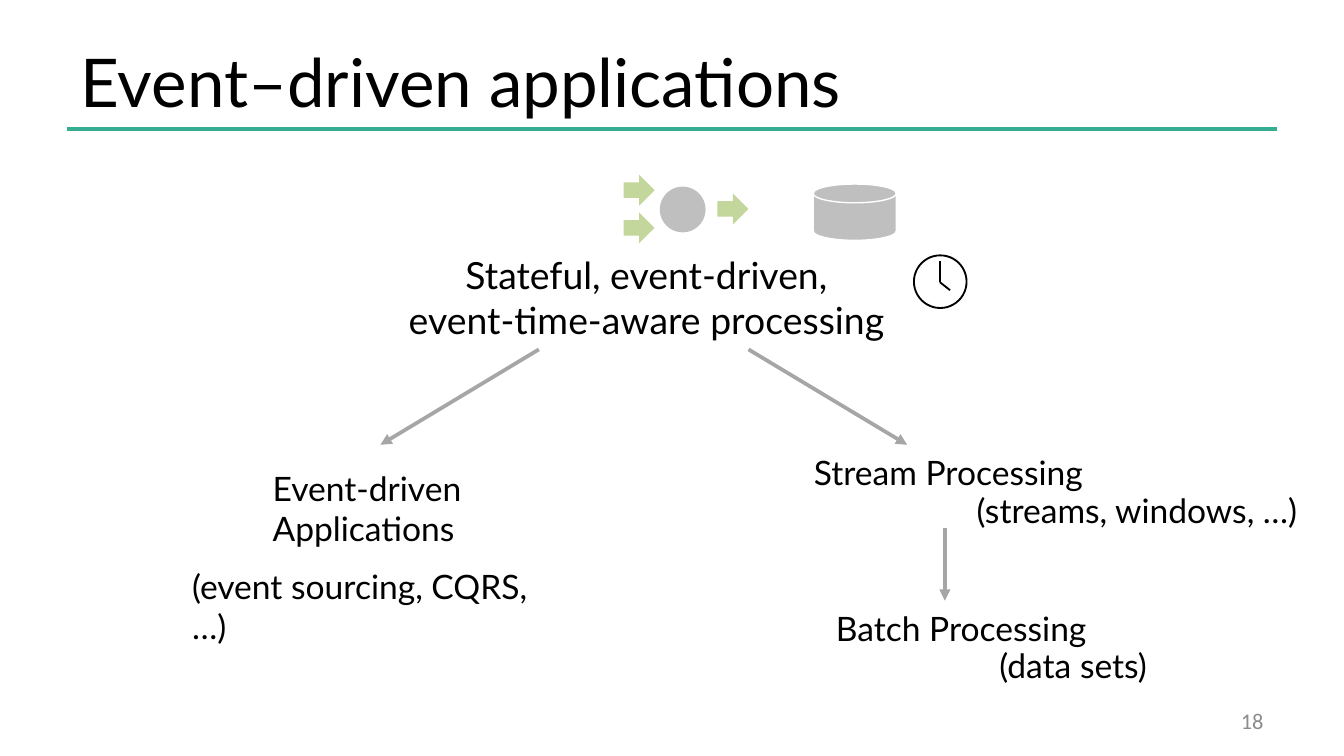
from dataclasses import dataclass

from lxml.etree import SubElement
from pptx import Presentation
from pptx.dml.color import RGBColor
from pptx.enum.shapes import MSO_CONNECTOR, MSO_SHAPE
from pptx.enum.text import MSO_ANCHOR, PP_ALIGN
from pptx.oxml.ns import qn
from pptx.util import Pt

BLACK, GRAY, ARROW_GRAY = "000000", "BFBFBF", "A6A6A6"
GREEN, TEAL, NUMBER_GRAY = "C3D69B", "34AD91", "8C8C8C"


@dataclass
class Label:
    lines: tuple[str, ...]
    x: float
    y: float
    w: float
    h: float = 28.8
    size: float = 18
    align: PP_ALIGN = PP_ALIGN.LEFT
    wrap: bool = False
    font: str = "Lato"
    color: str = BLACK
    anchor: MSO_ANCHOR = MSO_ANCHOR.TOP


@dataclass
class Line:
    x1: float
    y1: float
    x2: float
    y2: float
    color: str = ARROW_GRAY
    width: float = 2
    head: bool = True


def rgb(color: str) -> RGBColor:
    return RGBColor.from_string(color)


def write_text(sp, label: Label) -> None:
    sp.left, sp.top = Pt(label.x), Pt(label.y)
    sp.width, sp.height = Pt(label.w), Pt(label.h)
    tf = sp.text_frame
    tf.word_wrap = label.wrap
    tf.vertical_anchor = label.anchor
    p = tf.paragraphs[0]
    p.alignment = label.align
    for i, line in enumerate(label.lines):
        if i:
            p.add_line_break()
        r = p.add_run()
        r.text = line
        r.font.name, r.font.size = label.font, Pt(label.size)
        r.font.color.rgb = rgb(label.color)


def draw_label(shapes, label: Label) -> None:
    sp = shapes.add_textbox(Pt(label.x), Pt(label.y), Pt(label.w), Pt(label.h))
    write_text(sp, label)


def draw_line(shapes, line: Line) -> None:
    sp = shapes.add_connector(MSO_CONNECTOR.STRAIGHT, Pt(line.x1), Pt(line.y1),
                              Pt(line.x2), Pt(line.y2))
    sp.line.color.rgb = rgb(line.color)
    sp.line.width = Pt(line.width)
    if line.head:
        SubElement(sp.line._get_or_add_ln(), qn("a:tailEnd"), type="triangle")
    SubElement(sp._element.spPr, qn("a:effectLst"))


def draw_shape(shapes, kind: MSO_SHAPE, x: float, y: float, w: float, h: float,
               fill: str | None = None, line: str | None = None,
               width: float = 1) -> None:
    sp = shapes.add_shape(kind, Pt(x), Pt(y), Pt(w), Pt(h))
    sp.shadow.inherit = False
    if fill:
        sp.fill.solid()
        sp.fill.fore_color.rgb = rgb(fill)
    else:
        sp.fill.background()
    if line:
        sp.line.color.rgb = rgb(line)
        sp.line.width = Pt(width)
    else:
        sp.line.fill.background()


LABELS = [
    Label(("Stateful, event-driven,", "event-time-aware processing"),
          211, 131.8, 270.7, 55.4, size=20, align=PP_ALIGN.CENTER),
    Label(("Event-driven", "Applications"), 139, 247, 122, 51, wrap=True),
    Label(("(event sourcing, CQRS, …)",), 95.8, 299.5, 209.5, wrap=True),
    Label(("Stream Processing",), 429, 238.5, 160.6),
    Label(("(streams, windows, …)",), 512.6, 259.2, 193,
          align=PP_ALIGN.CENTER, wrap=True),
    Label(("Batch Processing",), 440.8, 322, 149),
    Label(("(data sets)",), 506.2, 342, 137.5, align=PP_ALIGN.CENTER, wrap=True),
    Label(("18",), 516.2, 375.1, 167.8, 21.6, size=12, align=PP_ALIGN.RIGHT,
          wrap=True, font="Calibri", color=NUMBER_GRAY, anchor=MSO_ANCHOR.MIDDLE),
]
ARROWS = [
    Line(288.7, 187.2, 203.8, 238.3),
    Line(401, 187.2, 486, 238.3),
    Line(506.2, 283, 506.2, 321.8),
]


def main() -> None:
    prs = Presentation()
    prs.slide_width, prs.slide_height = Pt(720), Pt(405)
    s = prs.slides.add_slide(prs.slide_layouts[5])

    # Title and rule
    draw_line(s.shapes, Line(36, 69, 684, 69, TEAL, head=False))
    write_text(s.shapes.title, Label(
        ("Event–driven applications",), 36, 16.6, 589, 53.3, size=36,
        wrap=True, anchor=MSO_ANCHOR.MIDDLE))

    # Texts and the arrows between them
    for label in LABELS:
        draw_label(s.shapes, label)
    for arrow in ARROWS:
        draw_line(s.shapes, arrow)

    # State store
    draw_shape(s.shapes, MSO_SHAPE.FLOWCHART_MAGNETIC_DISK, 435.6, 98.6, 44.6, 30.2,
               GRAY, "FFFFFF", 0.75)

    # Clock
    clock = s.shapes.add_group_shape().shapes
    draw_shape(clock, MSO_SHAPE.OVAL, 489.6, 136.8, 28.2, 28.2, line=BLACK)
    for x, y in ((503.5, 139.7), (509, 155.5)):
        draw_line(clock, Line(503.5, 151.2, x, y, BLACK, 1, head=False))

    # Event operator: two inputs, one output
    operator = s.shapes.add_group_shape().shapes
    draw_shape(operator, MSO_SHAPE.OVAL, 353.5, 100, 24.5, 24.5, GRAY)
    for x, y in ((334.1, 93.6), (334.1, 113.8), (384.3, 103.7)):
        draw_shape(operator, MSO_SHAPE.RIGHT_ARROW, x, y, 16.6, 16.6, GREEN)

    prs.save("out.pptx")


if __name__ == "__main__":
    main()
